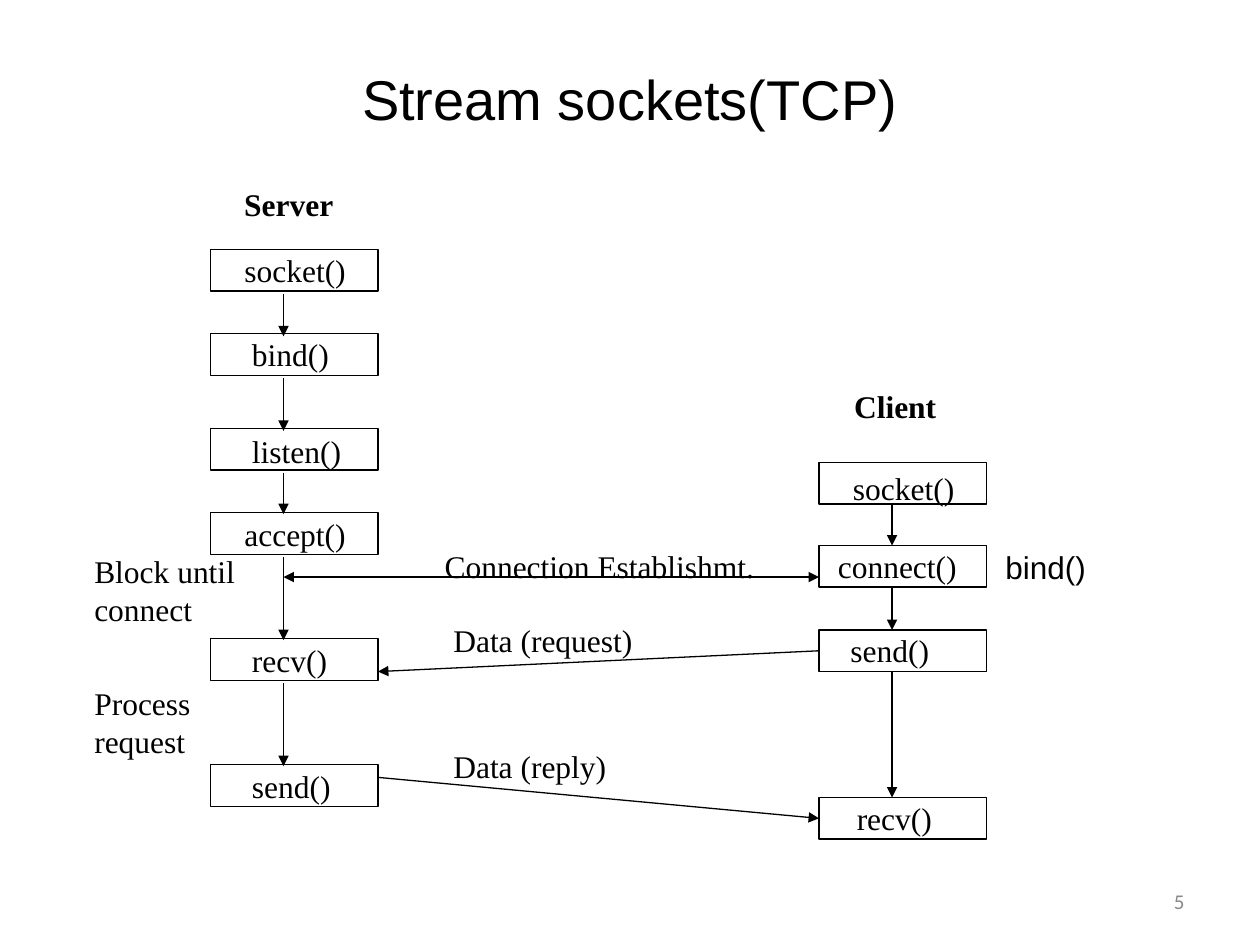
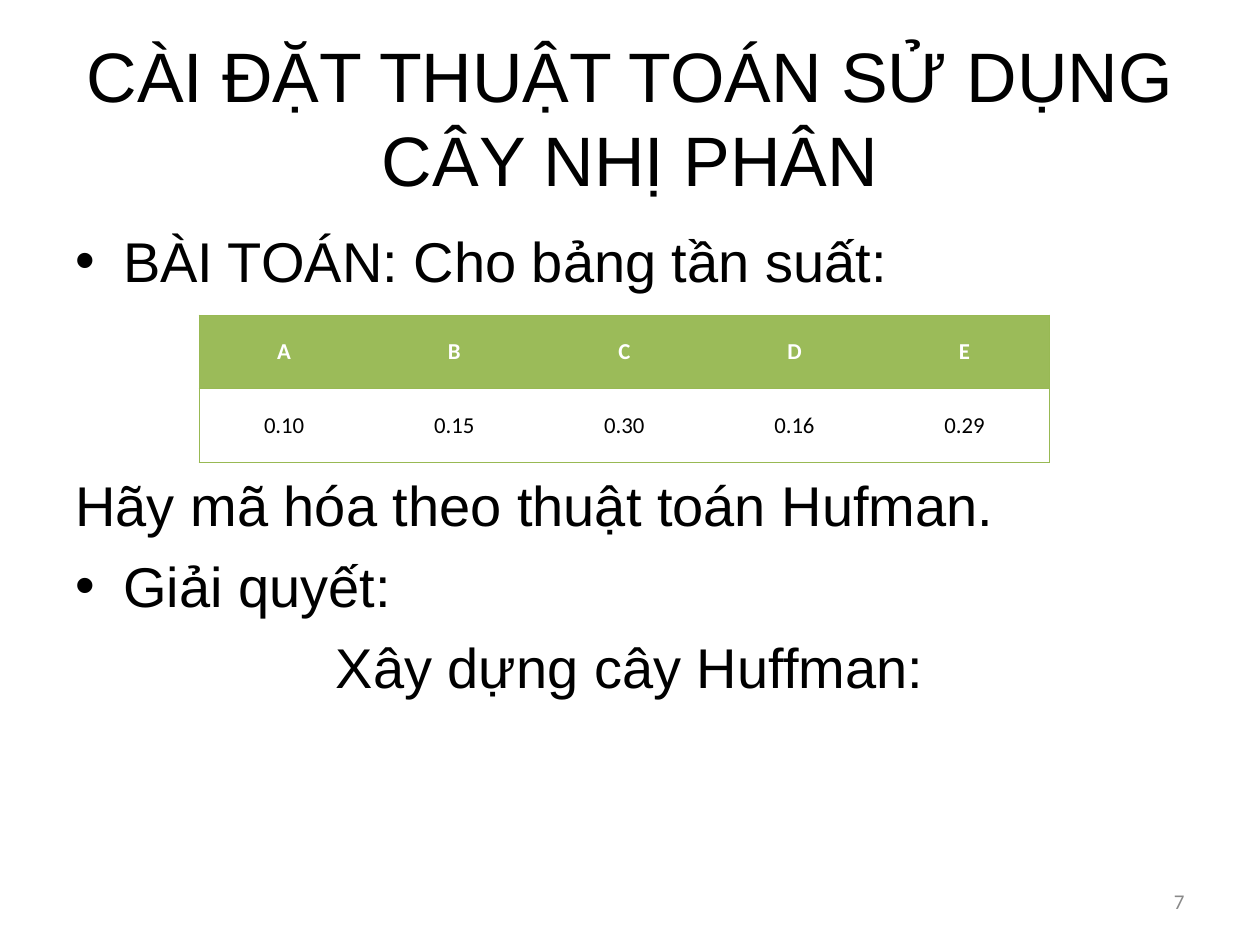
from lxml.etree import SubElement
from pptx import Presentation
from pptx.dml.color import RGBColor
from pptx.enum.shapes import MSO_CONNECTOR, MSO_SHAPE
from pptx.enum.text import MSO_ANCHOR, MSO_AUTO_SIZE, PP_ALIGN
from pptx.oxml.ns import qn
from pptx.util import Inches, Pt

COLORS = {
    "text": "000000",
    "page_number": "898989",
    "header_fill": "9BBB59",
    "header_text": "FFFFFF",
    "table_border": "98B954",
}
HEADING_FONT = "Arial"
DIAGRAM_FONT = "Times New Roman"
SMALL_FONT = "Calibri"
BOX_WIDTH, BOX_HEIGHT = 1.33, 0.33
SERVER_LEFT, CLIENT_LEFT = 1.67, 6.5
SERVER_ARROW, CLIENT_ARROW = 2.25, 7.08

SERVER_CALLS = [
    ("socket()", 1.98, 0.27, 0.01),
    ("bind()", 2.65, 0.33, 0.01),
    ("listen()", 3.4, 0.33, 0.03),
    ("accept()", 4.07, 0.27, 0.02),
    ("recv()", 5.07, 0.33, 0.02),
    ("send()", 6.07, 0.33, 0.02),
]
CLIENT_CALLS = [
    ("socket()", 3.67, 0.27, 0.05),
    ("connect()", 4.33, 0.15, 0.01),
    ("send()", 5, 0.25, 0.01),
    ("recv()", 6.33, 0.3, 0.01),
]
SERVER_ARROWS = [(2.33, 2.67), (3, 3.42), (3.75, 4.08), (4.42, 5.08), (5.42, 6.08)]
CLIENT_ARROWS = [(4, 4.33), (4.67, 5), (5.33, 6.33)]
DIAGRAM_LABELS = [
    (["Server"], 1.84, 1.42, 1, True, DIAGRAM_FONT),
    (["Client"], 6.68, 3.02, 0.95, True, DIAGRAM_FONT),
    (["Block until", "connect"], 0.65, 4.33, 1.4, False, DIAGRAM_FONT),
    (["Process", "request"], 0.65, 5.38, 1.05, False, DIAGRAM_FONT),
    (["Connection Establishmt."], 3.43, 4.29, 2.75, False, DIAGRAM_FONT),
    (["Data (request)"], 3.5, 4.88, 1.7, False, DIAGRAM_FONT),
    (["Data (reply)"], 3.5, 5.88, 1.5, False, DIAGRAM_FONT),
    (["bind()"], 7.88, 4.3, 0.95, False, HEADING_FONT),
]
FREQUENCIES = [("A", "B", "C", "D", "E"), ("0.10", "0.15", "0.30", "0.16", "0.29")]
PROBLEM_LINES = [
    ("BÀI TOÁN: Cho bảng tần suất:", True, PP_ALIGN.LEFT, 0),
    ("Hãy mã hóa theo thuật toán Hufman.", False, PP_ALIGN.LEFT, 100.8),
    ("Giải quyết:", True, PP_ALIGN.LEFT, 8),
    ("Xây dựng cây Huffman:", False, PP_ALIGN.CENTER, 8),
]


class Deck:
    def __init__(self):
        self.presentation = Presentation()
        self.presentation.slide_width = Inches(10)
        self.presentation.slide_height = Inches(7.5)
        self.slide = None

    def style(self, paragraph, size, font, color="text", bold=False, align=PP_ALIGN.LEFT):
        paragraph.alignment = align
        paragraph.line_spacing = Pt(size * 1.2)
        for run in paragraph.runs:
            run.font.size = Pt(size)
            run.font.name = font
            run.font.bold = bold
            run.font.color.rgb = RGBColor.from_string(COLORS[color])

    def add_slide(self, title, title_height, title_size, number):
        self.slide = self.presentation.slides.add_slide(self.presentation.slide_layouts[5])
        shape = self.slide.shapes.title
        shape.left, shape.top = Inches(0.5), Inches(0.3)
        shape.width, shape.height = Inches(9), Inches(title_height)
        text_frame = shape.text_frame
        text_frame.text = title
        text_frame.auto_size = MSO_AUTO_SIZE.NONE
        text_frame.vertical_anchor = MSO_ANCHOR.MIDDLE
        self.style(text_frame.paragraphs[0], title_size, HEADING_FONT, align=PP_ALIGN.CENTER)
        page_number = self.text_box(7.17, 6.95, 2.33, 0.4, str(number))
        page_number.vertical_anchor = MSO_ANCHOR.MIDDLE
        self.style(page_number.paragraphs[0], 12, SMALL_FONT, "page_number", align=PP_ALIGN.RIGHT)

    def text_box(self, left, top, width, height, text):
        shape = self.slide.shapes.add_textbox(
            Inches(left), Inches(top), Inches(width), Inches(height))
        text_frame = shape.text_frame
        text_frame.text = text
        text_frame.word_wrap = True
        return text_frame

    def label(self, lines, left, top, width, bold, font):
        text_frame = self.text_box(left, top, width, 0.1 + 0.3 * len(lines), "\n".join(lines))
        for paragraph in text_frame.paragraphs:
            self.style(paragraph, 18, font, bold=bold)

    def call_box(self, left, call, top, inset_left, inset_top):
        shape = self.slide.shapes.add_shape(
            MSO_SHAPE.RECTANGLE, Inches(left), Inches(top), Inches(BOX_WIDTH), Inches(BOX_HEIGHT))
        shape.shadow.inherit = False
        shape.fill.background()
        shape.line.color.rgb = RGBColor.from_string(COLORS["text"])
        shape.line.width = Pt(0.75)
        text_frame = shape.text_frame
        text_frame.text = call
        text_frame.word_wrap = True
        text_frame.vertical_anchor = MSO_ANCHOR.TOP
        text_frame.margin_left, text_frame.margin_top = Inches(inset_left), Inches(inset_top)
        text_frame.margin_right = text_frame.margin_bottom = 0
        self.style(text_frame.paragraphs[0], 18, DIAGRAM_FONT)
        return shape

    def arrow(self, start, end, both_ends=False):
        connector = self.slide.shapes.add_connector(
            MSO_CONNECTOR.STRAIGHT, *(Inches(value) for value in (*start, *end)))
        connector.line.color.rgb = RGBColor.from_string(COLORS["text"])
        connector.line.width = Pt(0.75)
        line = connector.line._get_or_add_ln()
        for tag in ["a:headEnd", "a:tailEnd"] if both_ends else ["a:tailEnd"]:
            SubElement(line, qn(tag), type="triangle")
        SubElement(connector._element.spPr, qn("a:effectLst"))
        return connector

    def body(self, left, top, width, height, lines):
        text_frame = self.text_box(
            left, top, width, height, "\n".join(line[0] for line in lines))
        for paragraph, (_, bulleted, align, space) in zip(text_frame.paragraphs, lines):
            properties = paragraph._p.get_or_add_pPr()
            properties.set("marL", str(Inches(0.38)))
            properties.set("indent", str(-Inches(0.38)))
            if bulleted:
                SubElement(properties, qn("a:buFont"), typeface=HEADING_FONT)
                SubElement(properties, qn("a:buChar"), char="•")
            else:
                SubElement(properties, qn("a:buNone"))
            self.style(paragraph, 32, HEADING_FONT, align=align)
            paragraph.space_before = Pt(space)

    def border(self, cell, sides):
        properties = cell._tc.get_or_add_tcPr()
        for index, side in enumerate("LRTB"):
            line = SubElement(properties, qn(f"a:ln{side}"), w=str(Pt(0.5)))
            properties.insert(index, line)
            if side in sides:
                fill = SubElement(line, qn("a:solidFill"))
                SubElement(fill, qn("a:srgbClr"), val=COLORS["table_border"])
            else:
                SubElement(line, qn("a:noFill"))

    def table(self, left, top, width, height, rows):
        columns = len(rows[0])
        table = self.slide.shapes.add_table(
            len(rows), columns, Inches(left), Inches(top), Inches(width), Inches(height)).table
        table.first_row = table.horz_banding = False
        for row_index, row in enumerate(rows):
            header = row_index == 0
            for column_index, value in enumerate(row):
                cell = table.cell(row_index, column_index)
                cell.text_frame.text = value
                cell.vertical_anchor = MSO_ANCHOR.MIDDLE
                cell.margin_left = cell.margin_right = Inches(0.08)
                if header:
                    cell.fill.solid()
                    cell.fill.fore_color.rgb = RGBColor.from_string(COLORS["header_fill"])
                else:
                    cell.fill.background()
                sides = "TB"
                if column_index == 0:
                    sides += "L"
                if column_index == columns - 1:
                    sides += "R"
                self.border(cell, sides)
                self.style(cell.text_frame.paragraphs[0], 13, SMALL_FONT,
                           "header_text" if header else "text", header, PP_ALIGN.CENTER)


def add_stream_sockets(deck):
    deck.add_slide("Stream sockets(TCP)", 0.95, 32, 5)
    for call in SERVER_CALLS:
        deck.call_box(SERVER_LEFT, *call)
    client = {call[0]: deck.call_box(CLIENT_LEFT, *call) for call in CLIENT_CALLS}
    for x, spans in [(SERVER_ARROW, SERVER_ARROWS), (CLIENT_ARROW, CLIENT_ARROWS)]:
        for top, bottom in spans:
            deck.arrow((x, top), (x, bottom))
    server_right = SERVER_LEFT + BOX_WIDTH
    deck.arrow((CLIENT_LEFT, 4.58), (SERVER_ARROW, 4.58), both_ends=True)
    request = deck.arrow((CLIENT_LEFT, 5.17), (server_right, 5.33))
    request.begin_connect(client["send()"], 1)
    reply = deck.arrow((server_right, 6.17), (CLIENT_LEFT, 6.5))
    reply.end_connect(client["recv()"], 1)
    for label in DIAGRAM_LABELS:
        deck.label(*label)


def add_huffman_problem(deck):
    deck.add_slide("CÀI ĐẶT THUẬT TOÁN SỬ DỤNG CÂY NHỊ PHÂN", 1.25, 40, 7)
    deck.body(0.5, 1.75, 9, 4.95, PROBLEM_LINES)
    deck.table(1.58, 2.5, 6.75, 1.17, FREQUENCIES)


def main():
    deck = Deck()
    add_stream_sockets(deck)
    add_huffman_problem(deck)
    deck.presentation.save("out.pptx")


if __name__ == "__main__":
    main()
